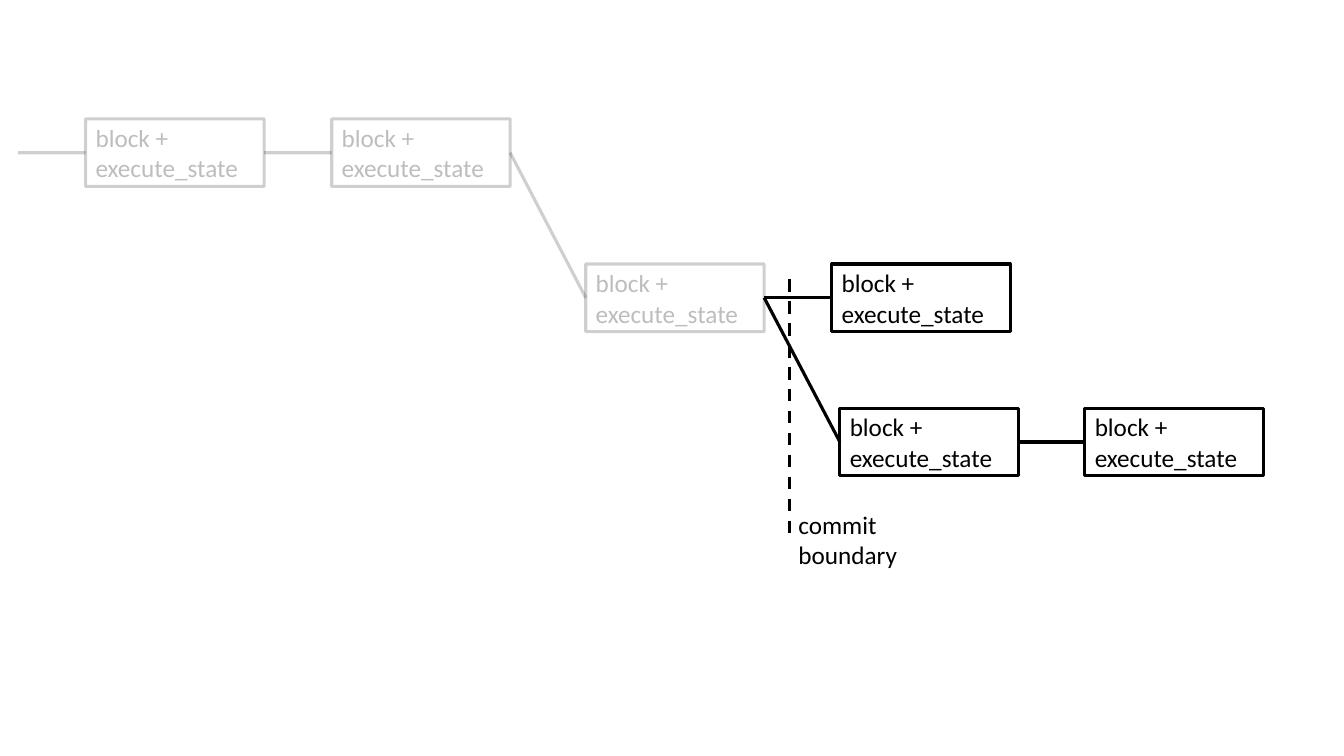
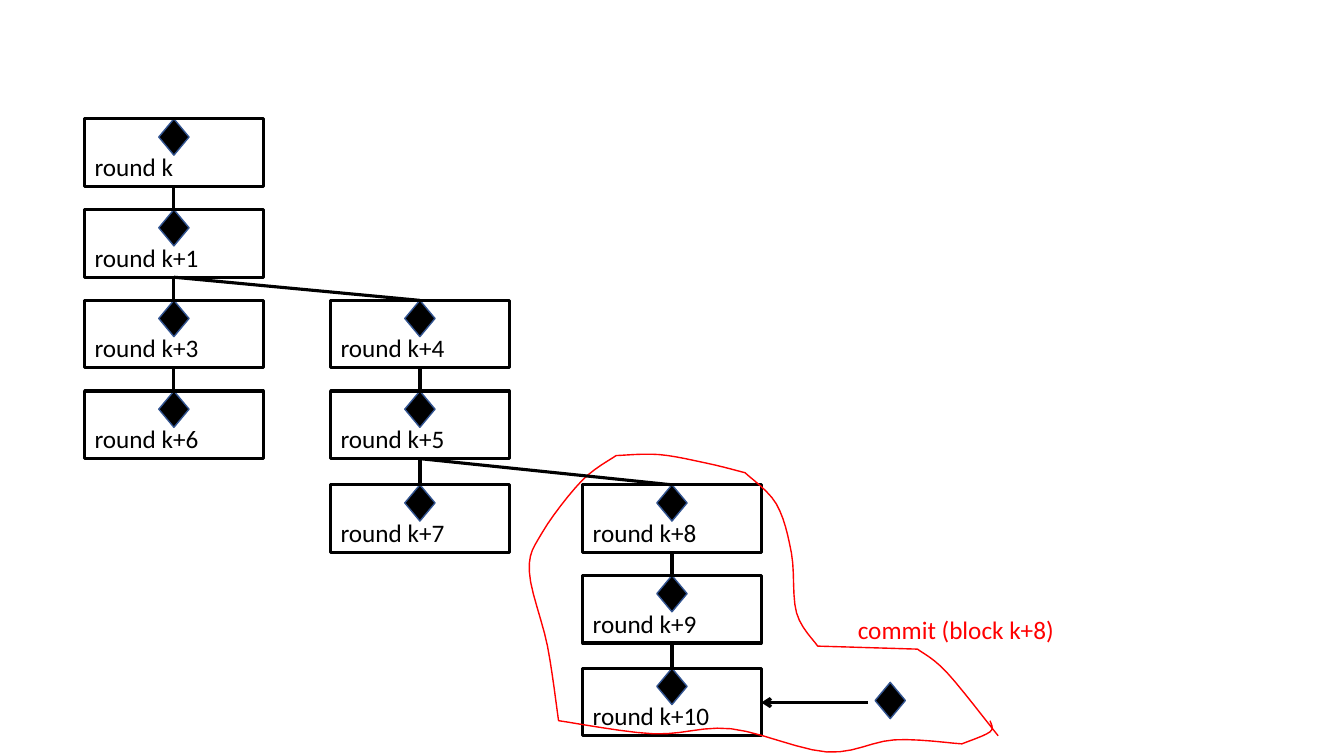
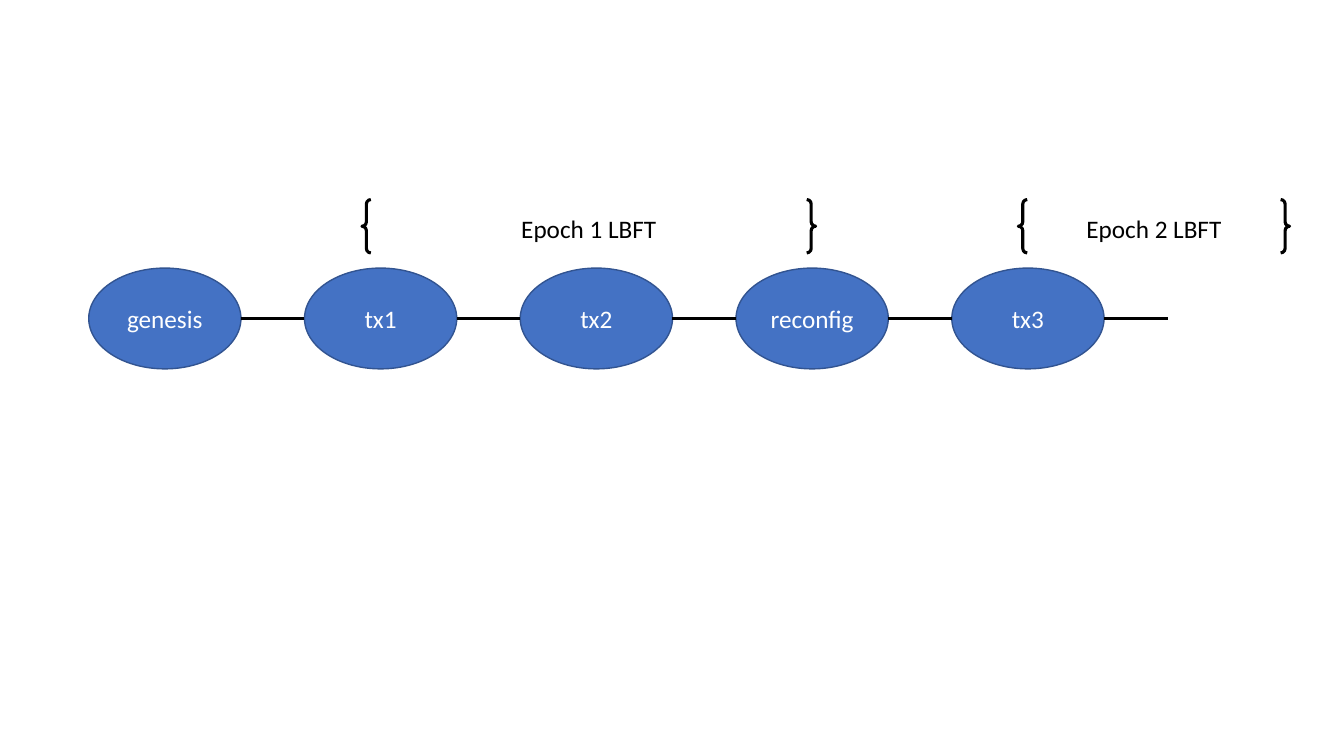
from pptx import Presentation
from pptx.dml.color import RGBColor
from pptx.enum.dml import MSO_LINE
from pptx.enum.shapes import MSO_CONNECTOR, MSO_SHAPE
from pptx.enum.text import MSO_ANCHOR as ANCHOR, PP_ALIGN as ALIGN
from pptx.oxml.ns import qn
from pptx.util import Inches, Pt
from lxml.etree import SubElement

BLACK, WHITE, RED, BLUE, NAVY = "000000", "FFFFFF", "FF0000", "4472C4", "325491"
FONT = {"name": "Calibri", "size": Pt(18)}
THICK, THIN = Pt(2.25), Pt(1)
BOX_WIDTH, BOX_HEIGHT = 1.77, 0.67


def paint(fill, color, opacity=100):
    fill.solid()
    fill.fore_color.rgb = RGBColor.from_string(color)
    if opacity < 100:
        color_node = fill._xPr.find(qn("a:solidFill"))[0]
        SubElement(color_node, qn("a:alpha"), val=str(opacity * 1000))


def add_item(slide, kind, box, text="", fill=None, outline=BLACK, width=THICK, line_opacity=100,
             color=BLACK, text_opacity=100, align=ALIGN.LEFT, anchor=ANCHOR.MIDDLE):
    place = [Inches(length) for length in box]
    if kind is None:
        shape = slide.shapes.add_textbox(*place)
    else:
        shape = slide.shapes.add_shape(kind, *place)
        shape.shadow.inherit = False
        shape.fill.background()
        if fill:
            paint(shape.fill, fill)
        paint(shape.line.fill, outline, line_opacity)
        shape.line.width = width
    frame = shape.text_frame
    frame.text = text
    frame.word_wrap = kind is not None
    frame.vertical_anchor = anchor
    for paragraph in frame.paragraphs:
        paragraph.alignment = align
        for run in paragraph.runs:
            for name, value in FONT.items():
                setattr(run.font, name, value)
            paint(run.font.fill, color, text_opacity)


presentation = Presentation()
presentation.slide_width, presentation.slide_height = Inches(13.33), Inches(7.5)
blank_layout = presentation.slide_layouts[6]
commit_slide, rounds_slide, epochs_slide = [
    presentation.slides.add_slide(blank_layout) for _ in range(3)]
lines = []

COMMITTED = {"line_opacity": 19, "text_opacity": 25}
PENDING = {"line_opacity": 100, "text_opacity": 100}
LINK_LENGTH = 0.67
block_exits = {}
for block, left, top, parent, look in [
    ("first", 0.85, 1.18, None, COMMITTED),
    ("second", 3.29, 1.18, "first", COMMITTED),
    ("last committed", 5.81, 2.62, "second", COMMITTED),
    ("upper fork", 8.25, 2.62, "last committed", PENDING),
    ("lower fork", 8.33, 4.05, "last committed", PENDING),
    ("lower tip", 10.76, 4.05, "lower fork", PENDING),
]:
    add_item(commit_slide, MSO_SHAPE.RECTANGLE, (left, top, BOX_WIDTH, BOX_HEIGHT),
             "block + execute_state", **look)
    middle = top + BOX_HEIGHT / 2
    block_exits[block] = left + BOX_WIDTH, middle
    link_end = block_exits[parent] if parent else (left - LINK_LENGTH, middle)
    lines.append((commit_slide, (left, middle), link_end, {"opacity": look["line_opacity"]}))
lines.append((commit_slide, (7.83, 2.77), (7.83, 5.3), {"dash": MSO_LINE.DASH}))
add_item(commit_slide, None, (7.82, 5, 1.19, 0.71), "commit\nboundary", anchor=ANCHOR.TOP)

DIAMOND = {"fill": BLACK, "outline": NAVY, "width": THIN}
DIAMOND_WIDTH, DIAMOND_HEIGHT = 0.3, 0.36
column_lefts = [0.84, 3.28, 5.78]
row_tops = [1.18, 2.08, 2.98, 3.88, 4.81, 5.71, 6.63]
round_exits = {}
for label, column, row, parent in [
    ("k", 0, 0, None), ("k+1", 0, 1, "k"), ("k+3", 0, 2, "k+1"), ("k+6", 0, 3, "k+3"),
    ("k+4", 1, 2, "k+1"), ("k+5", 1, 3, "k+4"), ("k+7", 1, 4, "k+5"),
    ("k+8", 2, 4, "k+5"), ("k+9", 2, 5, "k+8"), ("k+10", 2, 6, "k+9"),
]:
    left, top = column_lefts[column], row_tops[row]
    center = left + BOX_WIDTH / 2
    add_item(rounds_slide, MSO_SHAPE.DIAMOND,
             (center - DIAMOND_WIDTH / 2, top, DIAMOND_WIDTH, DIAMOND_HEIGHT), **DIAMOND)
    add_item(rounds_slide, MSO_SHAPE.RECTANGLE, (left, top, BOX_WIDTH, BOX_HEIGHT),
             f"round {label}", anchor=ANCHOR.BOTTOM)
    round_exits[label] = center, top + BOX_HEIGHT
    if parent:
        lines.append((rounds_slide, (center, top), round_exits[parent], {}))
add_item(rounds_slide, MSO_SHAPE.DIAMOND, (8.68, 6.77, DIAMOND_WIDTH, DIAMOND_HEIGHT), **DIAMOND)
lines.append((rounds_slide, (8.61, 6.97), (7.55, 6.97), {"arrow": True}))
add_item(rounds_slide, None, (8.41, 6.05, 2.17, 0.4), "commit (block k+8)",
         color=RED, anchor=ANCHOR.TOP)

loop_sides = {
    "tail": [(9.9, 7.3), (9.39, 6.67), (9.1, 6.44)],
    "shelf": [(9.1, 6.44), (8.11, 6.41)],
    "right": [(8.11, 6.41), (7.9, 6.08), (7.85, 5.49), (7.7, 5), (7.39, 4.69)],
    "top": [(7.39, 4.69), (7.03, 4.6), (6.54, 4.51), (6.11, 4.52)],
    "left": [(6.11, 4.52), (5.77, 4.77), (5.38, 5.28), (5.25, 5.67), (5.43, 6.41), (5.54, 7.15)],
    "bottom": [(5.54, 7.15), (6.48, 7.28), (7.25, 7.23), (8.2, 7.46), (8.87, 7.34), (9.54, 7.38)],
    "tip": [(9.54, 7.38), (9.82, 7.26), (9.82, 7.15)],
}
CURVE_STEPS = 6
curve_points = []
for side in loop_sides.values():
    padded = [side[0], *side, side[-1]]
    for before, begin, end, after in zip(padded, padded[1:], padded[2:], padded[3:]):
        for step in range(1, CURVE_STEPS + 1):
            t = step / CURVE_STEPS
            weights = (-t + 2 * t**2 - t**3, 2 - 5 * t**2 + 3 * t**3,
                       t + 4 * t**2 - 3 * t**3, t**3 - t**2)
            curve_points.append([
                Inches(sum(weight * value for weight, value in zip(weights, values)) / 2)
                for values in zip(before, begin, end, after)])
loop_start = [Inches(length) for length in loop_sides["tail"][0]]
builder = rounds_slide.shapes.build_freeform(*loop_start)
builder.add_line_segments(curve_points, close=False)
commit_loop = builder.convert_to_shape()
commit_loop.shadow.inherit = False
commit_loop.fill.background()
paint(commit_loop.line.fill, RED)
commit_loop.line.width = THIN

NODE_WIDTH, NODE_HEIGHT, NODE_PITCH, NODE_TOP = 1.51, 1, 2.14, 2.66
node_middle = NODE_TOP + NODE_HEIGHT / 2
for index, label in enumerate(["genesis", "tx1", "tx2", "reconfig", "tx3"]):
    left = 0.88 + index * NODE_PITCH
    add_item(epochs_slide, MSO_SHAPE.OVAL, (left, NODE_TOP, NODE_WIDTH, NODE_HEIGHT), label,
             fill=BLUE, outline=NAVY, width=THIN, color=WHITE, align=ALIGN.CENTER)
    lines.append((epochs_slide, (left + NODE_PITCH, node_middle),
                  (left + NODE_WIDTH, node_middle), {}))
for label, left, width in [("Epoch 1 LBFT", 3.59, 4.5), ("Epoch 2 LBFT", 10.1, 2.69)]:
    add_item(epochs_slide, MSO_SHAPE.DOUBLE_BRACE, (left, 1.98, width, 0.53), label,
             align=ALIGN.CENTER)

for slide, begin, end, look in lines:
    connector = slide.shapes.add_connector(
        MSO_CONNECTOR.STRAIGHT, *[Inches(length) for length in begin + end])
    paint(connector.line.fill, BLACK, look.get("opacity", 100))
    connector.line.width = THICK
    if "dash" in look:
        connector.line.dash_style = look["dash"]
    properties = connector.element.spPr
    if "arrow" in look:
        SubElement(properties.find(qn("a:ln")), qn("a:tailEnd"), type="arrow")
    SubElement(properties, qn("a:effectLst"))

presentation.save("out.pptx")
